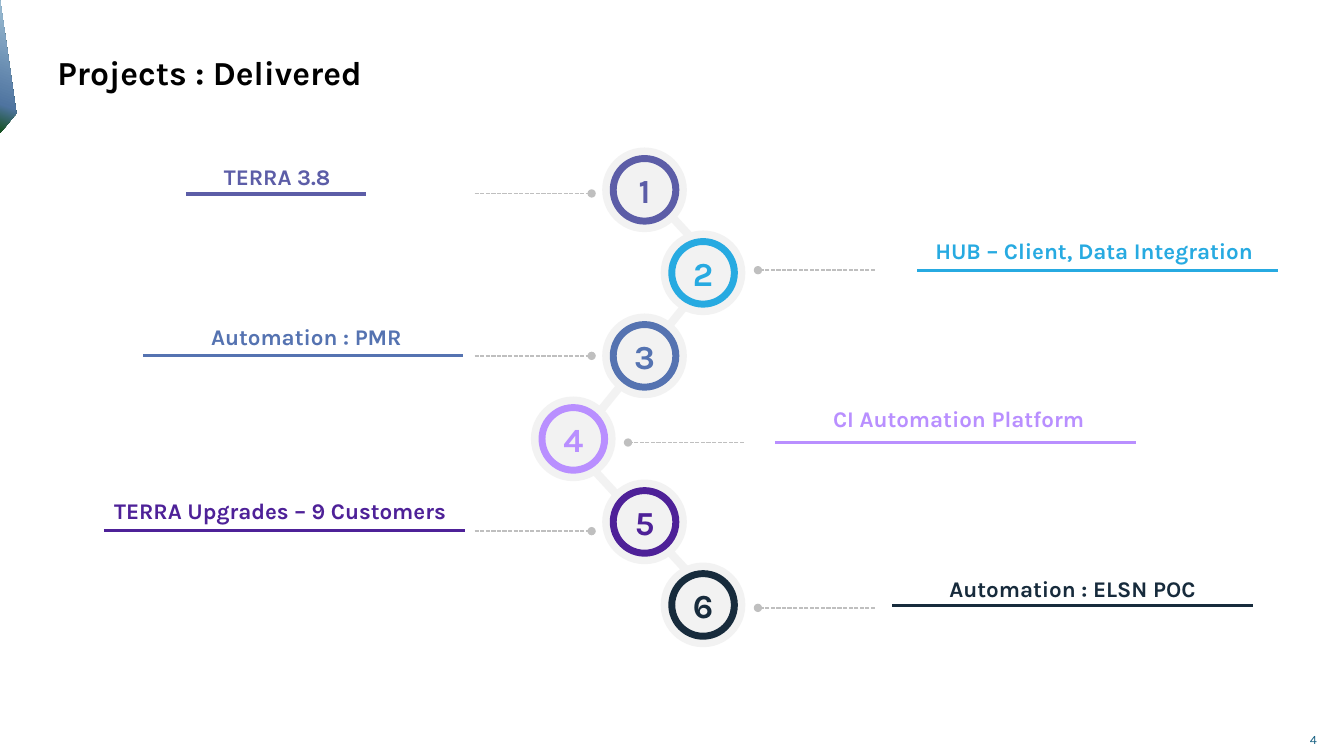
from dataclasses import dataclass

from lxml import etree
from pptx import Presentation
from pptx.dml.color import RGBColor
from pptx.enum import dml, shapes, text
from pptx.oxml import parse_xml
from pptx.oxml.ns import nsdecls, qn
from pptx.util import Pt


@dataclass(frozen=True)
class Theme:
    font: str = "Karla"
    title: str = "000000"
    page_number: str = "156082"
    halo: str = "F2F2F2"
    leader: str = "BFBFBF"
    accent_stops: tuple = ((0, "13501B"), (21, "4F74A0"), (100, "A0C1D6"))
    large: float = 24
    label: float = 16
    small: float = 9


@dataclass(frozen=True)
class Box:
    left: float
    top: float
    width: float
    height: float

    def lengths(self) -> tuple:
        return Pt(self.left), Pt(self.top), Pt(self.width), Pt(self.height)


@dataclass(frozen=True)
class Link:
    box: Box
    rotation: float


@dataclass(frozen=True)
class Project:
    name: str
    color: str
    badge_x: float
    label: Box
    leader_start: float
    leader_end: float
    leader_y: float
    rule_start: float
    rule_end: float
    rule_y: float


THEME = Theme()
LEFT_X, MIDDLE_X, RIGHT_X = 409.5, 460.4, 502.2
FIRST_BADGE_Y, BADGE_STEP = 135.6, 59.3
HALO_SIZE, RING_SIZE, NUMBER_SIZE = 60.5, 49.7, 29

LINKS = [
    Link(Box(451.4, 302.4, 5.8, 131.8), 317.3),
    Link(Box(465.8, 180.7, 5.8, 126.7), 218.9),
    Link(Box(484.6, 141.1, 5.8, 43.9), 317.3),
]
PROJECTS = [
    Project("TERRA 3.8", "5C5DA7", MIDDLE_X, Box(56.9, 113, 282.2, 26.6),
            339.1, 422.6, 138.2, 133.2, 261.4, 138.6),
    Project("HUB – Client, Data Integration", "27AAE1", RIGHT_X, Box(640.5, 165.6, 282.2, 26.6),
            625, 541.4, 193, 655.2, 913, 193),
    Project("Automation : PMR", "5573B1", MIDDLE_X, Box(77.8, 226.8, 282.2, 26.6),
            339.1, 422.6, 254.2, 102.2, 330.5, 254.2),
    Project("CI Automation Platform", "B98FFF", LEFT_X, Box(517, 285.8, 335.5, 26.6),
            531.4, 448.6, 316.1, 553.7, 811.4, 316.1),
    Project("TERRA Upgrades – 9 Customers", "4E2198", MIDDLE_X, Box(59, 351.4, 282.2, 26.6),
            339.1, 422.6, 379.4, 74.2, 331.9, 378.7),
    Project("Automation : ELSN POC", "172B3C", RIGHT_X, Box(625, 406.8, 282.2, 26.6),
            625, 541.4, 434.2, 637.2, 895, 432.7),
]


def centred(x: float, y: float, size: float) -> Box:
    return Box(x - size / 2, y - size / 2, size, size)


def write(shape, words: str, size: float, color: str, bold: bool = True,
          align=text.PP_ALIGN.CENTER, margins: tuple = (0, 0)) -> None:
    """Fill a shape with one paragraph; margins are horizontal and vertical."""
    frame = shape.text_frame
    side, edge = (Pt(margin) for margin in margins)
    frame_format = {
        "word_wrap": True, "auto_size": text.MSO_AUTO_SIZE.NONE,
        "vertical_anchor": text.MSO_ANCHOR.MIDDLE,
        "margin_left": side, "margin_right": side,
        "margin_top": edge, "margin_bottom": edge,
    }
    for name, value in frame_format.items():
        setattr(frame, name, value)
    paragraph = frame.paragraphs[0]
    paragraph.alignment = align
    run = paragraph.add_run()
    run.text = words
    for name, value in {"name": THEME.font, "size": Pt(size), "bold": bold}.items():
        setattr(run.font, name, value)
    run.font.color.rgb = RGBColor.from_string(color)


def add_filled(parent, kind, box: Box, color: str, rotation: float = 0):
    shape = parent.add_shape(kind, *box.lengths())
    shape.shadow.inherit = False
    shape.fill.solid()
    shape.fill.fore_color.rgb = RGBColor.from_string(color)
    shape.line.fill.background()
    shape.rotation = rotation
    return shape


def add_line(parent, start: float, end: float, y: float, color: str, width: float):
    line = parent.add_connector(shapes.MSO_CONNECTOR.STRAIGHT, Pt(start), Pt(y), Pt(end), Pt(y))
    line.line.color.rgb = RGBColor.from_string(color)
    line.line.width = Pt(width)
    etree.SubElement(line._element.spPr, qn("a:effectLst"))
    return line


def add_leader(parent, project: Project) -> None:
    leader = add_line(parent, project.leader_start, project.leader_end,
                      project.leader_y, THEME.leader, 1)
    leader.line.dash_style = dml.MSO_LINE.SQUARE_DOT
    outline = leader._element.spPr.find(qn("a:ln"))
    etree.SubElement(outline, qn("a:tailEnd"), type="oval")


def add_accent(parent) -> None:
    """Draw the gradient wedge on the left edge of the slide."""
    wedge = add_filled(parent, shapes.MSO_SHAPE.ISOSCELES_TRIANGLE,
                       Box(-41.6, 41.9, 95, 11.6), THEME.accent_stops[0][1], 90)
    wedge.adjustments[0] = 0.85
    stops = "".join(f'<a:gs pos="{position * 1000}"><a:srgbClr val="{color}"/></a:gs>'
                    for position, color in THEME.accent_stops)
    gradient = parse_xml(f'<a:gradFill rotWithShape="1" {nsdecls("a")}><a:gsLst>{stops}</a:gsLst>'
                         f'<a:lin ang="{200 * 60000}" scaled="0"/></a:gradFill>')
    properties = wedge._element.spPr
    properties.replace(properties.find(qn("a:solidFill")), gradient)


def add_badge(parent, number: int, project: Project) -> None:
    x, y = project.badge_x, FIRST_BADGE_Y + (number - 1) * BADGE_STEP
    add_filled(parent, shapes.MSO_SHAPE.OVAL, centred(x, y, HALO_SIZE), THEME.halo)
    ring = add_filled(parent, shapes.MSO_SHAPE.DONUT, centred(x, y, RING_SIZE), project.color)
    ring.adjustments[0] = 0.1
    digit = parent.add_textbox(*centred(x, y, NUMBER_SIZE).lengths())
    write(digit, str(number), THEME.large, project.color)


def add_project(parent, project: Project) -> None:
    add_leader(parent, project)
    label = parent.add_textbox(*project.label.lengths())
    write(label, project.name, THEME.label, project.color, margins=(0, 3.6))
    add_line(parent, project.rule_start, project.rule_end, project.rule_y, project.color, 2.25)


def add_title(slide, words: str) -> None:
    title = slide.shapes.title
    title.left, title.top, title.width, title.height = Box(33.8, 33.8, 864, 39.6).lengths()
    write(title, words, THEME.large, THEME.title, align=text.PP_ALIGN.LEFT, margins=(7.2, 3.6))
    title.text_frame.paragraphs[0].line_spacing = 0.9


def main() -> None:
    presentation = Presentation()
    presentation.slide_width, presentation.slide_height = Pt(960), Pt(540)
    slide = presentation.slides.add_slide(presentation.slide_layouts[5])
    add_title(slide, "Projects : Delivered")
    add_accent(slide.shapes)
    page_number = slide.shapes.add_textbox(*Box(919.4, 522, 51.8 - 14.4, 12.2).lengths())
    write(page_number, "4", THEME.small, THEME.page_number, bold=False)

    timeline = slide.shapes.add_group_shape().shapes
    for link in LINKS:
        add_filled(timeline, shapes.MSO_SHAPE.RECTANGLE, link.box, THEME.halo, link.rotation)
    for number, project in enumerate(PROJECTS, start=1):
        add_badge(timeline, number, project)
    for project in PROJECTS:
        add_project(slide.shapes, project)
    presentation.save("out.pptx")


if __name__ == "__main__":
    main()
